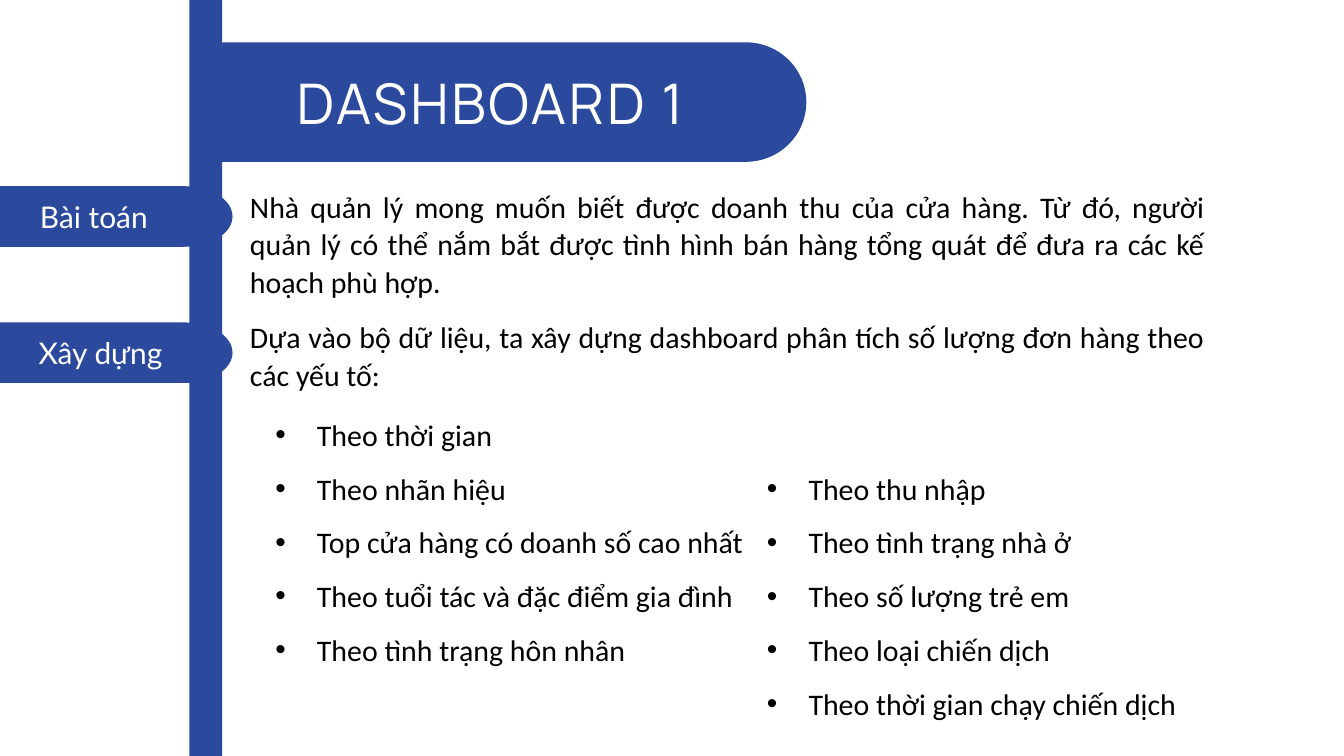
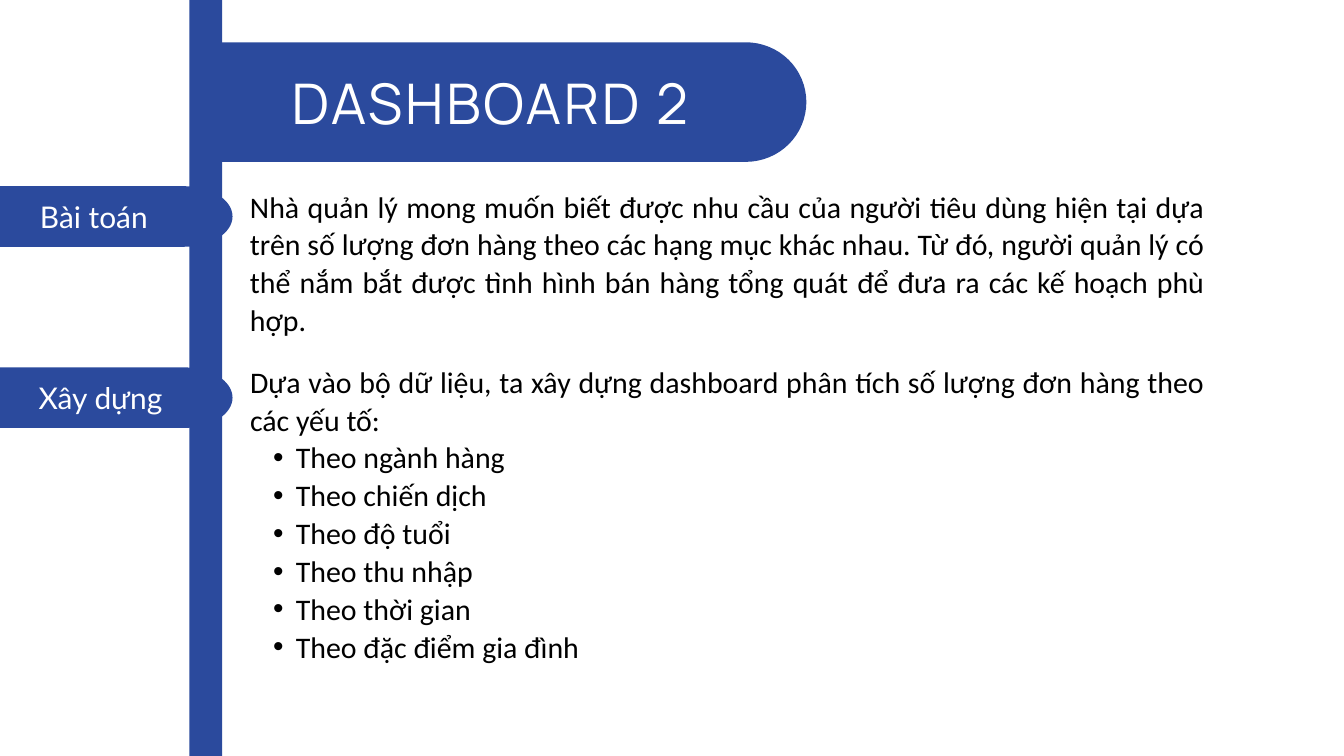
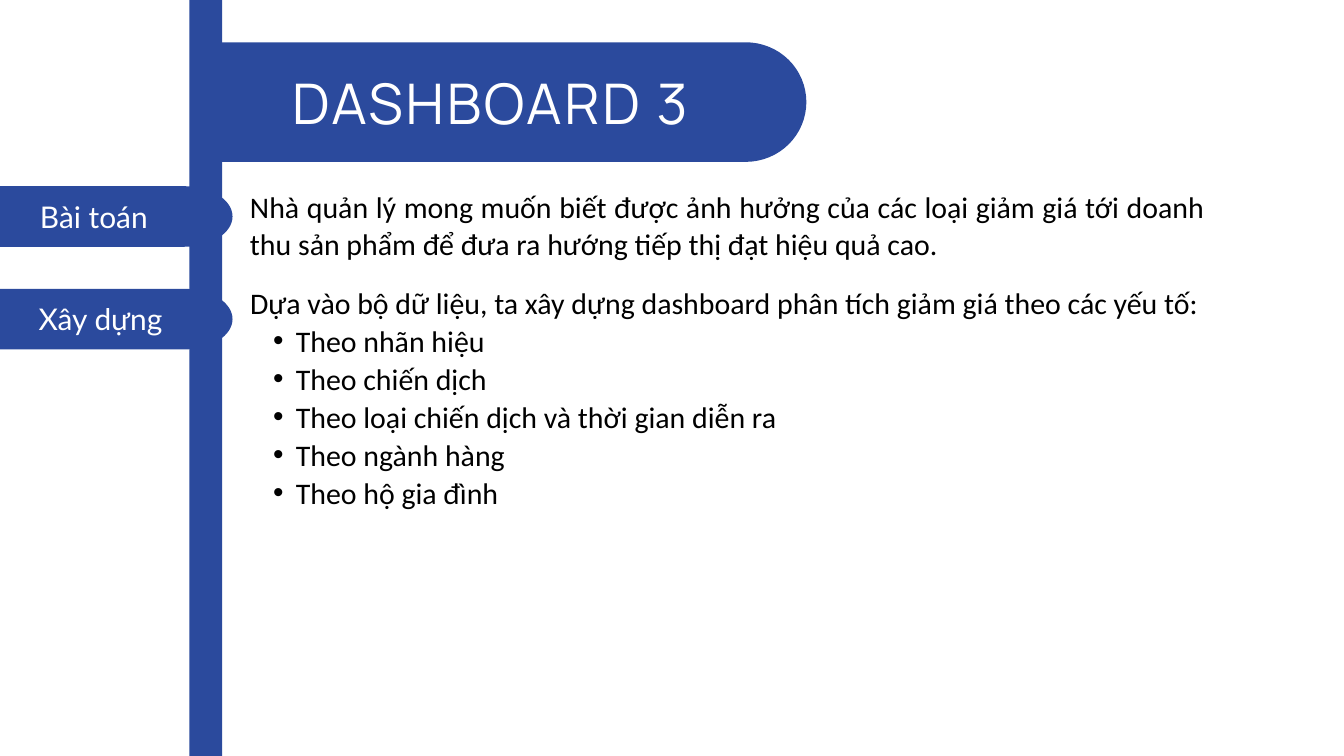
import math

import pptx
import pptx.dml.color
import pptx.enum.shapes
import pptx.enum.text
import pptx.util
import lxml.etree

Cm = pptx.util.Cm
Pt = pptx.util.Pt
ALIGN = pptx.enum.text.PP_ALIGN
DRAWING = "{http://schemas.openxmlformats.org/drawingml/2006/main}"

BLUE, WHITE, BLACK = "2B4A9D", "FFFFFF", "000000"
BODY_FONT, TITLE_FONT, LABEL_FONT = "Calibri", "Manrope", "Lato"
TEXT_LEFT, TEXT_WIDTH = 9.45, 36.12
FIRST_TAB = 7.04
LAYOUT_CONTENT, LAYOUT_TWO_CONTENT = 1, 3

DEMAND = "Dựa vào bộ dữ liệu, ta xây dựng dashboard phân tích số lượng đơn hàng theo các yếu tố:"


def colour(code):
    return pptx.dml.color.RGBColor.from_string(code)


class Builder:
    def __init__(self):
        self.deck = pptx.Presentation()
        self.deck.slide_width = Cm(50.8)
        self.deck.slide_height = Cm(28.58)
        self.page = None

    def start_page(self, layout, title, second_tab):
        self.page = self.deck.slides.add_slide(self.deck.slide_layouts[layout])
        column = self.page.shapes.add_shape(
            pptx.enum.shapes.MSO_SHAPE.RECTANGLE, Cm(7.16), 0, Cm(1.24), self.deck.slide_height)
        self.paint(column)
        self.band(8.38, 1.6, 22.1, 4.52, 2.29)
        self.title(title)
        self.tab("Bài toán", FIRST_TAB, 5.82)
        self.tab("Xây dựng", second_tab, 6.32)

    def paint(self, shape):
        shape.shadow.inherit = False
        shape.fill.solid()
        shape.fill.fore_color.rgb = colour(BLUE)
        shape.line.fill.background()

    def band(self, left, top, width, height, cap, steps=32):
        centre, radius = left + width - cap, height / 2
        arc = []
        for step in range(steps + 1):
            angle = math.pi * (step / steps - 0.5)
            arc.append((Cm(centre + cap * math.cos(angle)),
                        Cm(top + radius + radius * math.sin(angle))))
        outline = self.page.shapes.build_freeform(Cm(left), Cm(top))
        outline.add_line_segments(arc + [(Cm(left), Cm(top + height))], close=True)
        self.paint(outline.convert_to_shape())

    def place(self, box, left, top, width, height, inset=0.0):
        box.left, box.top, box.width, box.height = Cm(left), Cm(top), Cm(width), Cm(height)
        frame = box.text_frame
        frame.word_wrap = True
        frame.auto_size = pptx.enum.text.MSO_AUTO_SIZE.NONE
        frame.vertical_anchor = pptx.enum.text.MSO_ANCHOR.TOP
        frame.margin_left = frame.margin_right = Cm(inset)
        frame.margin_top = frame.margin_bottom = Cm(inset / 2)
        return frame

    def text_box(self, left, top, width, height, inset=0.0):
        box = self.page.shapes.add_textbox(0, 0, 0, 0)
        return self.place(box, left, top, width, height, inset)

    def fill_para(self, para, text, font, size, code, align, spacing, bullet_indent=None, margin=0):
        properties = para._p.get_or_add_pPr()
        properties.set("marL", str(Cm(margin)))
        properties.set("indent", str(-Cm(bullet_indent or 0)))
        if bullet_indent:
            lxml.etree.SubElement(properties, DRAWING + "buFont", typeface="Arial")
            lxml.etree.SubElement(properties, DRAWING + "buChar", char="•")
        else:
            lxml.etree.SubElement(properties, DRAWING + "buNone")
        para.alignment = align
        para.line_spacing = spacing
        para.space_before = para.space_after = Pt(0)
        span = para.add_run()
        span.text = text
        span.font.name = font
        span.font.size = Pt(size)
        span.font.color.rgb = colour(code)
        return span

    def title(self, text):
        box = self.page.shapes.title
        self.page.shapes.element.append(box.element)
        frame = self.place(box, 7.16, 2.9, 22.73, 2.29)
        span = self.fill_para(
            frame.paragraphs[0], text, TITLE_FONT, 60, WHITE, ALIGN.CENTER, Pt(63))
        span.font._element.set("spc", "300")

    def tab(self, text, top, label_width):
        self.band(0, top, 8.79, 2.29, 1.83)
        frame = self.text_box(0.64, top + 0.33, label_width, 1.63, 0.25)
        self.fill_para(frame.paragraphs[0], text, LABEL_FONT, 32, WHITE, ALIGN.CENTER, 1.0)

    def lead(self, para, text):
        self.fill_para(para, text, BODY_FONT, 32, BLACK, ALIGN.JUSTIFY, Pt(40.6))

    def statement(self, text, top, height):
        frame = self.text_box(TEXT_LEFT, top, TEXT_WIDTH, height)
        self.lead(frame.paragraphs[0], text)

    def lead_with_list(self, text, items, top, height):
        frame = self.place(self.page.placeholders[1], TEXT_LEFT, top, TEXT_WIDTH, height)
        self.lead(frame.paragraphs[0], text)
        for item in items:
            para = frame.add_paragraph()
            para.level = 1
            self.fill_para(para, item, BODY_FONT, 32, BLACK, ALIGN.JUSTIFY, Pt(40.6), 0.86, 1.73)

    def open_list(self, index, items, left, top):
        frame = self.place(self.page.placeholders[index], left, top, 18.83, 10.55, 0.25)
        frame.margin_right = 0
        for number, item in enumerate(items):
            para = frame.add_paragraph() if number else frame.paragraphs[0]
            self.fill_para(para, item, BODY_FONT, 32, BLACK, ALIGN.LEFT, 1.5, 1.57, 1.57)


def main():
    builder = Builder()

    builder.start_page(LAYOUT_TWO_CONTENT, "DASHBOARD 1", 12.19)
    builder.statement(
        "Nhà quản lý mong muốn biết được doanh thu của cửa hàng. Từ đó, người quản lý có thể "
        "nắm bắt được tình hình bán hàng tổng quát để đưa ra các kế hoạch phù hợp.",
        FIRST_TAB, 4.27)
    builder.statement(DEMAND, 11.96, 2.87)
    builder.open_list(1, [
        "Theo thời gian", "Theo nhãn hiệu", "Top cửa hàng có doanh số cao nhất",
        "Theo tuổi tác và đặc điểm gia đình", "Theo tình trạng hôn nhân"], 10.16, 14.94)
    builder.open_list(2, [
        "Theo thu nhập", "Theo tình trạng nhà ở", "Theo số lượng trẻ em",
        "Theo loại chiến dịch", "Theo thời gian chạy chiến dịch"], 28.74, 16.98)

    builder.start_page(LAYOUT_CONTENT, "DASHBOARD 2", 13.89)
    builder.statement(
        "Nhà quản lý mong muốn biết được nhu cầu của người tiêu dùng hiện tại dựa trên số lượng "
        "đơn hàng theo các hạng mục khác nhau. Từ đó, người quản lý có thể nắm bắt được tình "
        "hình bán hàng tổng quát để đưa ra các kế hoạch phù hợp.",
        FIRST_TAB, 5.72)
    builder.lead_with_list(DEMAND, [
        "Theo ngành hàng", "Theo chiến dịch", "Theo độ tuổi", "Theo thu nhập",
        "Theo thời gian", "Theo đặc điểm gia đình"], 13.66, 11.53)

    builder.start_page(LAYOUT_CONTENT, "DASHBOARD 3", 10.92)
    builder.statement(
        "Nhà quản lý mong muốn biết được ảnh hưởng của các loại giảm giá tới doanh thu sản phẩm "
        "để đưa ra hướng tiếp thị đạt hiệu quả cao.",
        FIRST_TAB, 2.82)
    builder.lead_with_list(
        "Dựa vào bộ dữ liệu, ta xây dựng dashboard phân tích giảm giá theo các yếu tố:", [
            "Theo nhãn hiệu", "Theo chiến dịch", "Theo loại chiến dịch và thời gian diễn ra",
            "Theo ngành hàng", "Theo hộ gia đình"], 10.69, 10.11)

    builder.deck.save("out.pptx")


if __name__ == "__main__":
    main()
